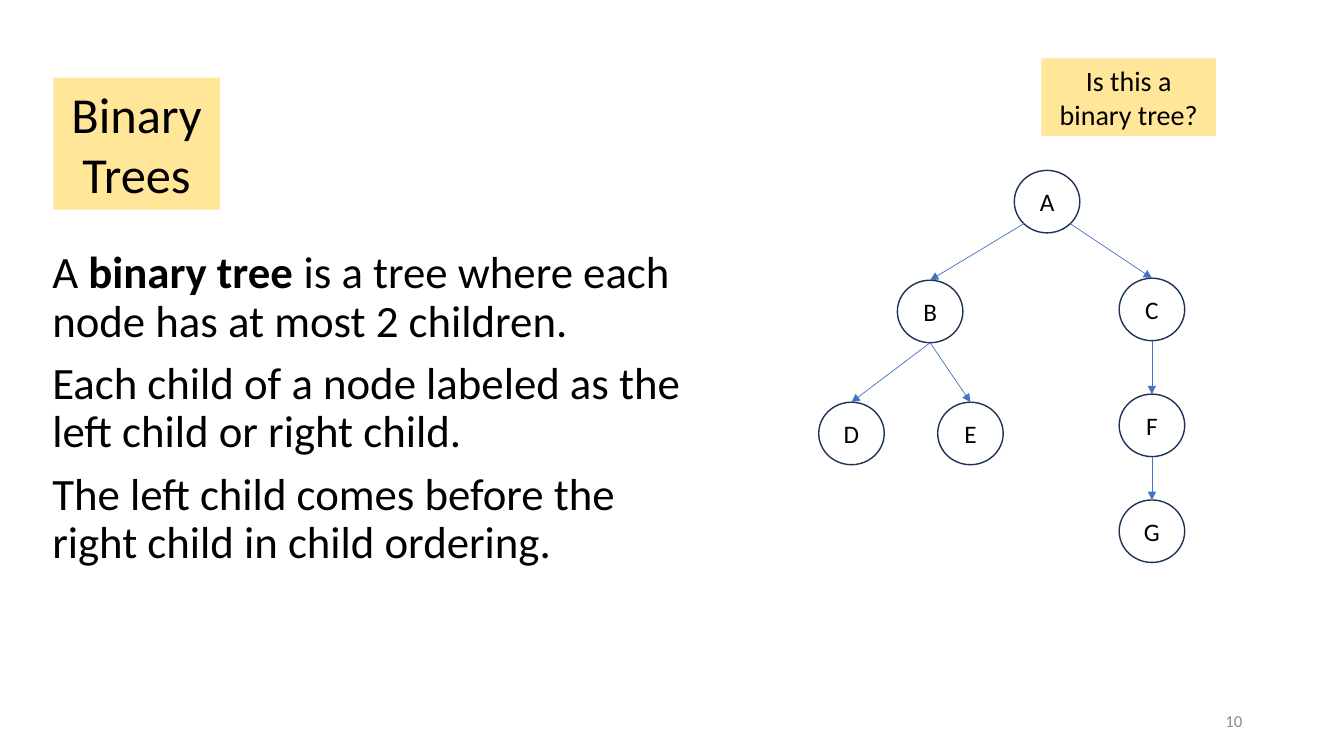
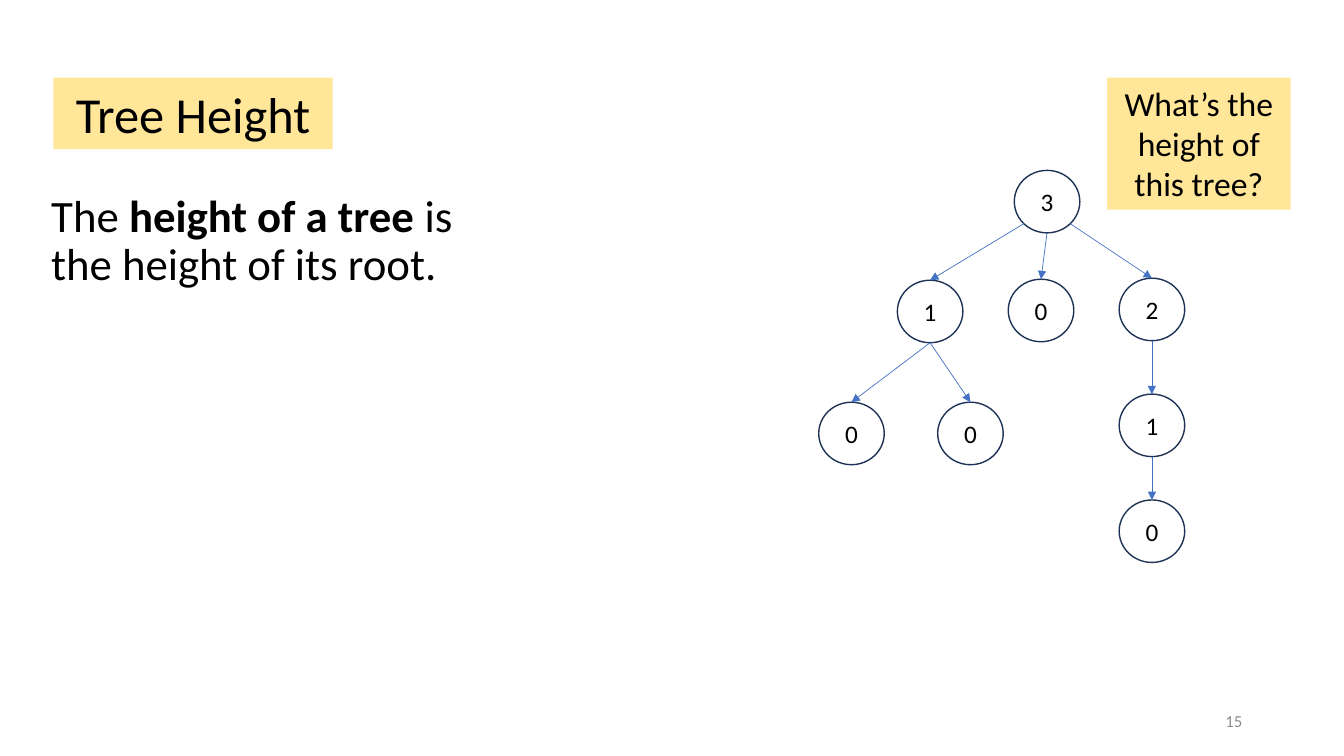
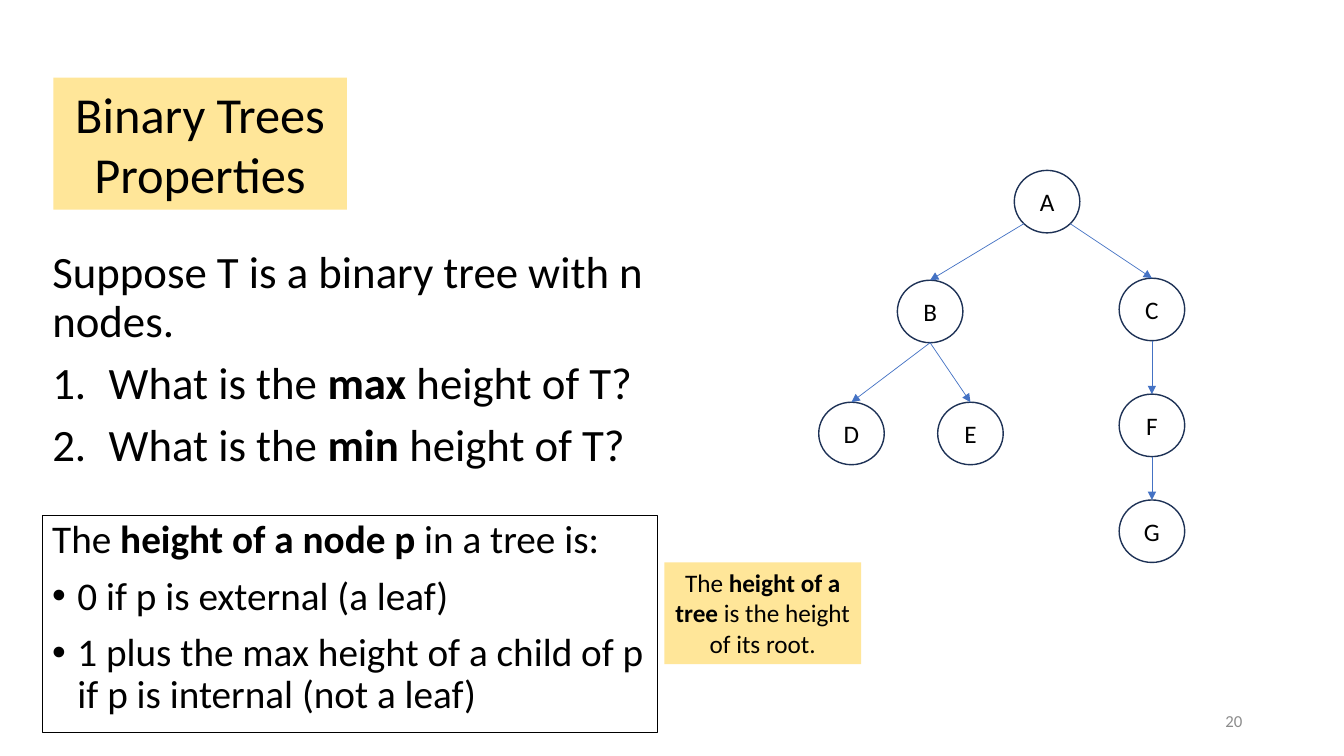
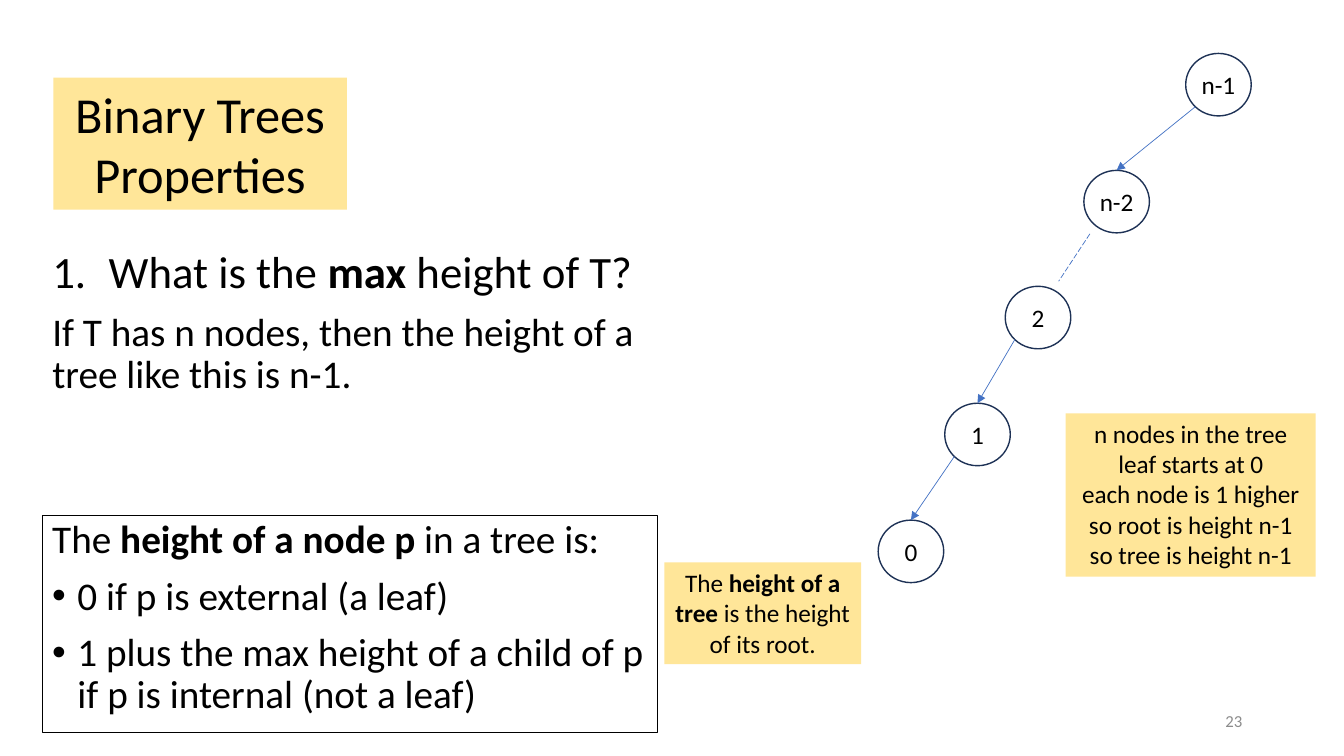
import math
from dataclasses import dataclass

import pptx
import pptx.dml.color
import pptx.enum.dml
import pptx.enum.shapes
import pptx.enum.text
import pptx.oxml
import pptx.oxml.ns
import pptx.util
from pptx.util import Inches

SHAPE = pptx.enum.shapes.MSO_SHAPE
ALIGN = pptx.enum.text.PP_ALIGN
ANCHOR = pptx.enum.text.MSO_ANCHOR


@dataclass(frozen=True)
class Theme:
    font: str = "Calibri"
    ink: str = "000000"
    highlight: str = "FFE699"
    node_line: str = "1E3256"
    arrow: str = "4472C4"
    muted: str = "8C8C8C"
    title: int = 36
    body: int = 32
    detail: int = 28
    question: int = 24
    aside: int = 20
    label: int = 18
    footer: int = 12


THEME = Theme()
NODE_WIDTH, NODE_HEIGHT = 0.65, 0.62

TREE_SPOTS = {
    "A": (10.06, 1.69),
    "B": (8.9, 2.78),
    "C": (11.1, 2.76),
    "D": (8.12, 3.99),
    "E": (9.3, 3.99),
    "F": (11.1, 3.91),
    "G": (11.1, 4.96),
}
TREE_EDGES = [
    ("A", "B", "left"),
    ("A", "C", "right"),
    ("B", "D", "bottom"),
    ("B", "E", "bottom"),
    ("C", "F", "bottom"),
    ("F", "G", "bottom"),
]
MIDDLE_SPOT = {"M": (10, 2.77)}
MIDDLE_EDGE = [("A", "M", "bottom")]
HEIGHTS = {"A": "3", "B": "1", "C": "2", "D": "0", "E": "0", "F": "1", "G": "0", "M": "0"}

CHAIN_SPOTS = {
    "n-1": (11.76, 0.53),
    "n-2": (10.75, 1.69),
    "2": (9.97, 2.84),
    "1": (9.37, 4),
    "0": (8.71, 5.16),
}
CHAIN_EDGES = [("n-1", "n-2", "left"), ("2", "1", "left"), ("1", "0", "left")]

MAX_QUESTION = "What is the **max** height of T?"
MIN_QUESTION = "What is the **min** height of T?"


def color(code):
    return pptx.dml.color.RGBColor.from_string(code)


def add_xml(parent, tag, **attributes):
    child = pptx.oxml.parse_xml(f"<a:{tag} {pptx.oxml.ns.nsdecls('a')}/>")
    for name, value in attributes.items():
        child.set(name, value)
    parent.append(child)


def write(box, text, size=THEME.body, ink=THEME.ink, align=ALIGN.LEFT,
          leading=1.0, before=0, indent=0, bullet=None):
    frame = box.text_frame
    para = frame.paragraphs[0]
    if para.runs:
        para = frame.add_paragraph()
    para.alignment = align
    para.line_spacing = leading
    para.space_before = pptx.util.Pt(before)
    if bullet:
        style = para._p.get_or_add_pPr()
        style.set("marL", str(Inches(indent)))
        style.set("indent", str(-Inches(indent)))
        if bullet == "number":
            add_xml(style, "buAutoNum", type="arabicPeriod")
        else:
            add_xml(style, "buFont", typeface="Arial")
            add_xml(style, "buChar", char=bullet)
    for line_index, line in enumerate(text.split("\n")):
        if line_index:
            para.add_line_break()
        for part_index, part in enumerate(line.split("**")):
            if part:
                span = para.add_run()
                span.text = part
                span.font.name = THEME.font
                span.font.size = pptx.util.Pt(size)
                span.font.bold = part_index % 2 == 1
                span.font.color.rgb = color(ink)


def write_body(box, text, **style):
    write(box, text, leading=0.9, before=10, **style)


def set_frame(box, anchor=ANCHOR.TOP, wrap=True):
    box.text_frame.word_wrap = wrap
    box.text_frame.auto_size = pptx.enum.text.MSO_AUTO_SIZE.NONE
    box.text_frame.vertical_anchor = anchor


def add_text_box(page, left, top, width, height, **frame):
    box = page.shapes.add_textbox(Inches(left), Inches(top), Inches(width), Inches(height))
    set_frame(box, **frame)
    return box


def add_box(page, left, top, width, height, kind=SHAPE.RECTANGLE,
            fill=None, line=None, weight=1.0, **frame):
    box = page.shapes.add_shape(kind, Inches(left), Inches(top), Inches(width), Inches(height))
    box.shadow.inherit = False
    if fill:
        box.fill.solid()
        box.fill.fore_color.rgb = color(fill)
    else:
        box.fill.background()
    if line:
        box.line.color.rgb = color(line)
        box.line.width = pptx.util.Pt(weight)
    else:
        box.line.fill.background()
    set_frame(box, **frame)
    return box


def add_callout(page, left, top, width, height, *texts, size=THEME.label):
    box = add_box(page, left, top, width, height, fill=THEME.highlight)
    for text in texts:
        write(box, text, size=size, align=ALIGN.CENTER)


def add_page(deck, title, width, height, number):
    page = deck.slides.add_slide(deck.slide_layouts[5])
    heading = page.shapes.title
    heading.left, heading.top = Inches(0.53), Inches(0.77)
    heading.width, heading.height = Inches(width), Inches(height)
    heading.fill.solid()
    heading.fill.fore_color.rgb = color(THEME.highlight)
    set_frame(heading)
    write(heading, title, size=THEME.title, align=ALIGN.CENTER)
    footer = add_text_box(page, 9.42, 6.95, 3, 0.4, anchor=ANCHOR.MIDDLE)
    write(footer, str(number), size=THEME.footer, ink=THEME.muted, align=ALIGN.RIGHT)
    return page


def add_node(page, spot, label):
    node = add_box(page, *spot, NODE_WIDTH, NODE_HEIGHT, kind=SHAPE.OVAL,
                   line=THEME.node_line, anchor=ANCHOR.MIDDLE, wrap=False)
    frame = node.text_frame
    frame.margin_left = frame.margin_right = frame.margin_top = frame.margin_bottom = 0
    write(node, label, size=THEME.label, align=ALIGN.CENTER)


def add_link(page, start, end, dashed=False):
    link = page.shapes.add_connector(
        pptx.enum.shapes.MSO_CONNECTOR.STRAIGHT, *map(Inches, (*start, *end)))
    link.line.color.rgb = color(THEME.arrow)
    link.line.width = pptx.util.Pt(0.5)
    if dashed:
        link.line.dash_style = pptx.enum.dml.MSO_LINE.LONG_DASH
    else:
        add_xml(link.line._get_or_add_ln(), "tailEnd", type="triangle")
    add_xml(link._element.spPr, "effectLst")


def node_point(spot, side):
    angle = math.radians({"right": 45, "bottom": 90, "left": 135, "top": 270}[side])
    return (spot[0] + NODE_WIDTH / 2 * (1 + math.cos(angle)),
            spot[1] + NODE_HEIGHT / 2 * (1 + math.sin(angle)))


def add_tree(page, spots, edges, labels=None):
    for name, spot in spots.items():
        add_node(page, spot, labels[name] if labels else name)
    for parent, child, side in edges:
        add_link(page, node_point(spots[parent], side), node_point(spots[child], "top"))


def add_height_rules(page):
    box = add_box(page, 0.42, 5.11, 6.1, 2.16, line=THEME.ink, weight=0.75)
    write_body(box, "The **height of a node p **in a tree is:", size=THEME.detail)
    for rule in ("0 if p is external (a leaf)",
                 "1 plus the max height of a child of p\nif p is internal (not a leaf)"):
        write_body(box, rule, size=THEME.detail, indent=0.25, bullet="•")
    add_callout(page, 6.59, 5.58, 1.95, 1.01,
                "The **height of a tree **is the height of its root.")


def add_definition_page(deck):
    page = add_page(deck, "Binary Trees", 1.65, 1.31, 10)
    box = add_text_box(page, 0.42, 2.43, 6.59, 3.79)
    for text in ("A **binary tree **is a tree where each node has at most 2 children.",
                 "Each child of a node labeled as the left child or right child.",
                 "The left child comes before the right child in child ordering."):
        write_body(box, text)
    add_tree(page, TREE_SPOTS, TREE_EDGES)
    add_callout(page, 10.33, 0.58, 1.73, 0.77, "Is this a binary tree?", size=THEME.aside)


def add_height_page(deck):
    page = add_page(deck, "Tree Height", 2.77, 0.71, 15)
    box = add_text_box(page, 0.41, 1.87, 4.44, 2.42)
    write_body(box, "The **height of a tree **is the height of its root.")
    add_tree(page, TREE_SPOTS | MIDDLE_SPOT, TREE_EDGES + MIDDLE_EDGE, HEIGHTS)
    add_callout(page, 10.98, 0.77, 1.82, 1.31, "What’s the height of this tree?",
                size=THEME.question)


def add_properties_page(deck):
    page = add_page(deck, "Binary Trees Properties", 2.91, 1.31, 20)
    box = add_text_box(page, 0.42, 2.43, 6.59, 3.79)
    write_body(box, "Suppose T is a binary tree with n nodes.")
    for question in (MAX_QUESTION, MIN_QUESTION):
        write_body(box, question, indent=0.56, bullet="number")
    add_tree(page, TREE_SPOTS, TREE_EDGES)
    add_height_rules(page)


def add_max_height_page(deck):
    page = add_page(deck, "Binary Trees Properties", 2.91, 1.31, 23)
    box = add_text_box(page, 0.42, 2.43, 6.59, 2.27)
    write_body(box, MAX_QUESTION, indent=0.56, bullet="number")
    write_body(box, "If T has n nodes, then the height of a tree like this is n-1.",
               size=THEME.detail)
    add_height_rules(page)
    add_tree(page, CHAIN_SPOTS, CHAIN_EDGES)
    add_link(page, (10.81, 2.32), (10.5, 2.79), dashed=True)
    add_callout(page, 10.57, 4.1, 2.48, 1.62,
                "n nodes in the tree\nleaf starts at 0\neach node is 1 higher",
                "so root is height n-1\nso tree is height n-1")


def main():
    deck = pptx.Presentation()
    deck.slide_width, deck.slide_height = Inches(13.33), Inches(7.5)
    add_definition_page(deck)
    add_height_page(deck)
    add_properties_page(deck)
    add_max_height_page(deck)
    deck.save("out.pptx")


main()
